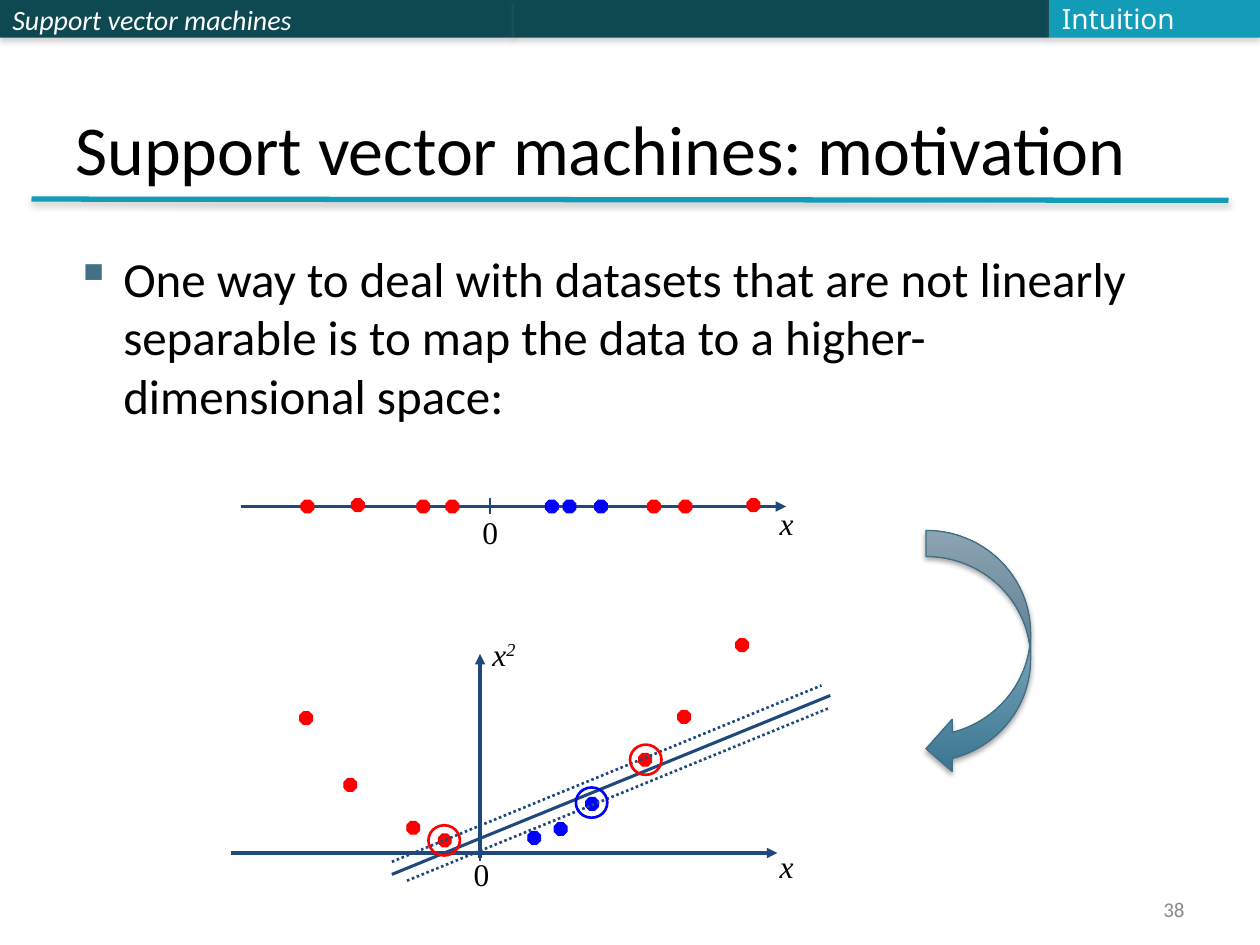
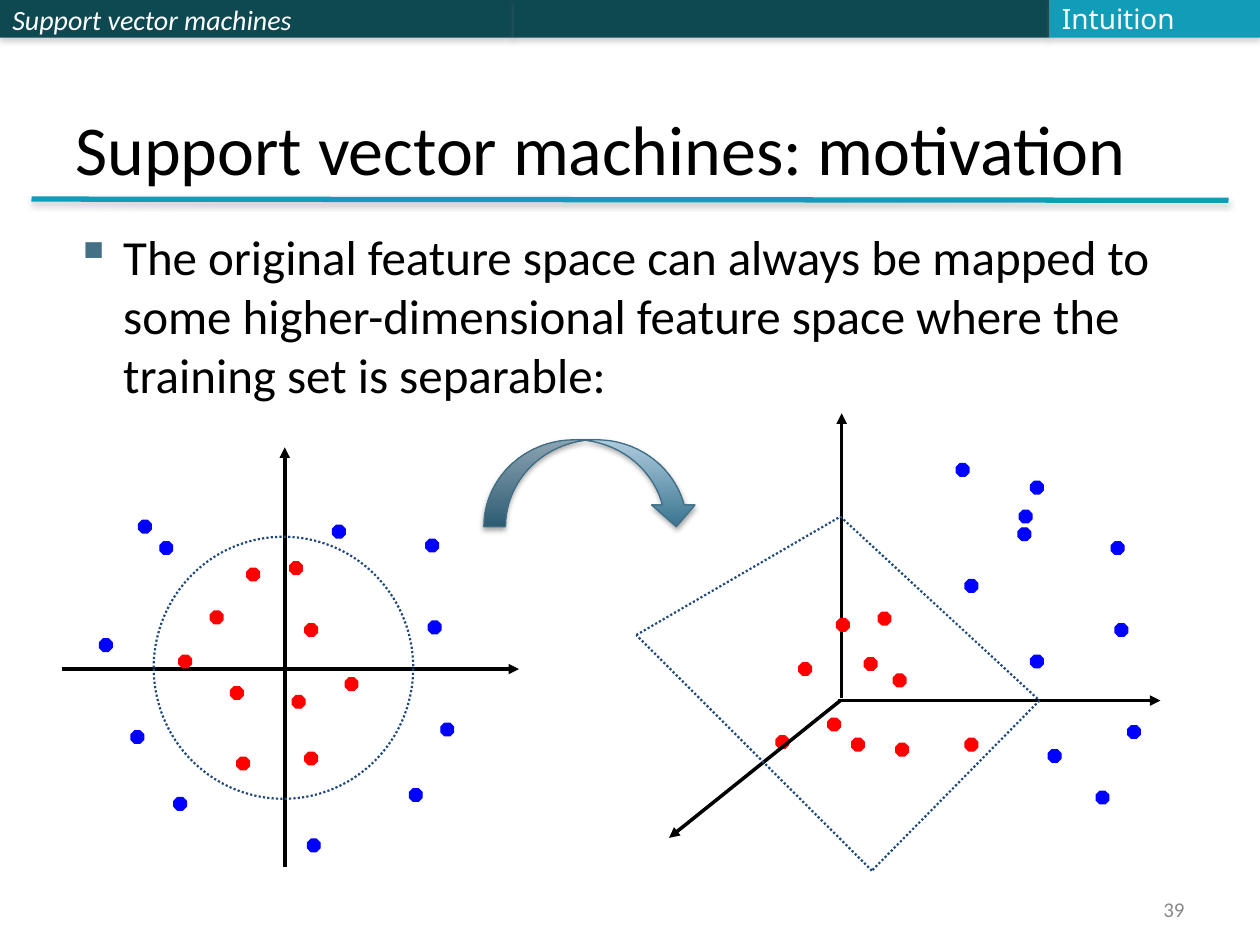
import lxml.etree
import pptx
import pptx.dml.color
import pptx.enum.dml
import pptx.enum.shapes
import pptx.enum.text
import pptx.oxml.ns
import pptx.util

Color = pptx.dml.color.RGBColor
Preset = pptx.enum.shapes.MSO_SHAPE
Anchor = pptx.enum.text.MSO_ANCHOR
Align = pptx.enum.text.PP_ALIGN

BLACK = Color(0x00, 0x00, 0x00)
WHITE = Color(0xFF, 0xFF, 0xFF)
RED = Color(0xFF, 0x00, 0x00)
BLUE = Color(0x00, 0x00, 0xFF)
NAVY = Color(0x1F, 0x49, 0x7D)
DARK_TEAL = Color(0x0E, 0x48, 0x51)
TEAL = Color(0x13, 0x9C, 0xB7)
NEAR_WHITE = Color(0xFB, 0xFC, 0xFF)
NUMBER_GRAY = Color(0x89, 0x89, 0x89)
BULLET_BLUE = Color(0x43, 0x70, 0x85)
ARROW_DARK = Color(0x39, 0x74, 0x8F)
ARROW_LIGHT = Color(0xAF, 0xCC, 0xDF)
ARROW_EDGE = Color(0x40, 0x6E, 0x84)
SHADOW_GRAY = Color(0x80, 0x80, 0x80)

BODY_FONT, SECTION_FONT, MATH_FONT = "Calibri", "Noto Sans", "Times New Roman"

# All places below are in grid units; the page is 10 by 7.5 units.
UNIT_CM = 2.54
DOT = 0.1
RING = (0.25, 0.24)

CHAPTER = "Support vector machines"
SECTION = "Intuition"
TITLE = "Support vector machines: motivation"
HEADER_BANDS = [(0, 4.08, DARK_TEAL), (4.08, 4.25, DARK_TEAL), (8.33, 1.67, TEAL)]

MAPPING = {
    "number": "38",
    "body": "One way to deal with datasets that are not linearly separable "
            "is to map the data to a higher-dimensional space:",
    "body_box": (0.5, 1.92, 8.58, 5.42),
    "curved_arrow": (Preset.CURVED_LEFT_ARROW, (7.35, 4.21, 0.83, 1.94)),
}
LINE_DOTS = {
    RED: [(2.39, 3.97), (2.79, 3.96), (3.31, 3.97), (3.54, 3.97),
          (5.14, 3.97), (5.39, 3.97), (5.93, 3.96)],
    BLUE: [(4.33, 3.97), (4.47, 3.97), (4.72, 3.97)],
}
PARABOLA_DOTS = {
    RED: [(2.38, 5.65), (2.73, 6.18), (3.23, 6.52), (3.48, 6.62),
          (5.07, 5.98), (5.38, 5.64), (5.84, 5.07)],
    BLUE: [(4.19, 6.6), (4.4, 6.53), (4.65, 6.33)],
}
MAPPING_AXES = [
    ((1.91, 4.02), (6.24, 4.02)),
    ((1.83, 6.77), (6.17, 6.77)),
    ((3.81, 6.81), (3.81, 5.19)),
]
TICKS = [((3.89, 3.95), (3.89, 4.08), 1.5), ((3.81, 6.71), (3.81, 6.83), 0.75)]
AXIS_LABELS = [  # text, superscript, left, top, width
    ("0", "", 3.73, 4.02, 0.38),
    ("x", "", 6.09, 3.95, 0.5),
    ("0", "", 3.66, 6.74, 0.38),
    ("x", "2", 3.81, 4.99, 0.5),
    ("x", "", 6.09, 6.67, 0.5),
]
SEPARATOR = ((3.11, 6.94), (6.59, 5.52))
MARGINS = [((3.11, 6.84), (6.52, 5.44)), ((3.23, 6.99), (6.58, 5.62))]
SUPPORT_RINGS = [(5, 5.91, RED), (4.57, 6.25, BLUE), (3.4, 6.55, RED)]

FEATURE_SPACE = {
    "number": "39",
    "body": "The original feature space can always be mapped to some "
            "higher-dimensional feature space where the training set is separable:",
    "body_box": (0.5, 1.75, 9, 5.42),
    "curved_arrow": (Preset.CURVED_DOWN_ARROW, (3.84, 3.49, 1.7, 0.69)),
}
PLANE_DOTS = {
    RED: [(2.3, 4.46), (1.67, 4.85), (1.83, 5.45), (2.42, 5.97), (1.96, 4.51),
          (1.42, 5.2), (1.88, 6.01), (2.42, 4.95), (2.74, 5.38), (2.32, 5.52)],
    BLUE: [(3.4, 4.93), (3.25, 6.26), (0.79, 5.07), (2.44, 6.66), (3.5, 5.74),
           (1.38, 6.33), (1.04, 5.8), (1.1, 4.13), (2.64, 4.17), (1.27, 4.3),
           (3.38, 4.28)],
}
SPACE_DOTS = {
    RED: [(6.97, 4.86), (6.34, 5.26), (6.76, 5.86), (7.66, 5.86), (6.64, 4.91),
          (6.86, 5.22), (7.11, 5.9), (7.09, 5.35), (6.57, 5.7), (6.16, 5.84)],
    BLUE: [(8.85, 4.95), (8.7, 6.28), (8.18, 3.82), (8.18, 5.2), (8.95, 5.76),
           (7.66, 4.6), (8.32, 5.95), (8.09, 4.05), (8.08, 4.19), (7.59, 3.68),
           (8.82, 4.3)],
}
PLANE_AXES = [((2.26, 6.88), (2.26, 3.55)), ((0.49, 5.31), (4.12, 5.31))]
SPACE_AXES = [((6.68, 5.54), (6.68, 3.28)), ((6.65, 5.56), (9.21, 5.56))]
DEPTH_AXIS = ((6.67, 5.56), (5.31, 6.65))
CIRCLE_BOUNDARY = (1.22, 4.26, 2.06, 2.08)
HYPERPLANE_CORNERS = [(6.67, 4.1), (8.25, 5.56), (6.92, 6.91), (5.05, 5.04)]


def grid(*values):
    """Turn grid units into lengths."""
    return [pptx.util.Cm(value * UNIT_CM) for value in values]


def add_xml(parent, tag, **attributes):
    child = lxml.etree.SubElement(parent, pptx.oxml.ns.qn(tag))
    for name, value in attributes.items():
        child.set(name, str(value))
    return child


def add_shadow(effects, color, opacity, blur=3.1, distance=1.8):
    shadow = add_xml(effects, "a:outerShdw", blurRad=pptx.util.Pt(blur),
                     dist=pptx.util.Pt(distance), dir=90 * 60000, rotWithShape=0)
    tint = add_xml(shadow, "a:srgbClr", val=color)
    add_xml(tint, "a:alpha", val=opacity * 1000)


def add_figure(page, preset, box, fill=None, edge=None, width=0.75, dotted=False):
    """Add a preset shape without shadow; fill and edge are colours or None."""
    figure = page.shapes.add_shape(preset, *grid(*box))
    figure.shadow.inherit = False
    if fill is None:
        figure.fill.background()
    else:
        figure.fill.solid()
        figure.fill.fore_color.rgb = fill
    if edge is None:
        figure.line.fill.background()
    else:
        style_line(figure.line, edge, width, dotted)
    return figure


def style_line(line, color, width, dotted=False):
    line.color.rgb = color
    line.width = pptx.util.Pt(width)
    if dotted:
        line.dash_style = pptx.enum.dml.MSO_LINE.ROUND_DOT


def add_segment(page, start, end, color, width, dotted=False, arrow=False):
    """Add a straight line and return its (empty) effect list."""
    segment = page.shapes.add_connector(
        pptx.enum.shapes.MSO_CONNECTOR.STRAIGHT, *grid(*start, *end))
    style_line(segment.line, color, width, dotted)
    properties = segment._element.spPr
    if arrow:
        add_xml(properties.find(pptx.oxml.ns.qn("a:ln")), "a:tailEnd", type="triangle")
    return add_xml(properties, "a:effectLst")


def write(frame, text, size, font, color, italic=False, anchor=Anchor.TOP,
          align=Align.LEFT, wrap=True):
    frame.word_wrap = wrap
    frame.vertical_anchor = anchor
    frame.text = text
    para = frame.paragraphs[0]
    para.alignment = align
    style_run(para.runs[0], size, font, color, italic)
    return para


def style_run(span, size, font, color, italic):
    span.font.size = pptx.util.Pt(size)
    span.font.name = font
    span.font.color.rgb = color
    span.font.italic = italic


def add_text(page, box, *style, **options):
    frame = page.shapes.add_textbox(*grid(*box)).text_frame
    return write(frame, *style, **options)


def add_bullet(para):
    indent = grid(0.38)[0]
    properties = para._p.get_or_add_pPr()
    properties.set("marL", str(indent))
    properties.set("indent", str(-indent))
    add_xml(add_xml(properties, "a:buClr"), "a:srgbClr", val=BULLET_BLUE)
    add_xml(properties, "a:buChar", char="▪")


def add_page(deck, content):
    """Add a page with header bands, title, bullet text and number."""
    page = deck.slides.add_slide(deck.slide_layouts[6])
    bands = []
    for left, width, color in HEADER_BANDS:
        band = add_figure(page, Preset.RECTANGLE, (left, 0, width, 0.3), color)
        add_shadow(band._element.spPr.find(pptx.oxml.ns.qn("a:effectLst")),
                   SHADOW_GRAY, 35)
        bands.append(band)
    write(bands[0].text_frame, CHAPTER, 16, BODY_FONT, WHITE, italic=True,
          anchor=Anchor.MIDDLE)
    add_shadow(add_segment(page, (0.25, 1.58), (9.75, 1.59), TEAL, 3),
               SHADOW_GRAY, 38, distance=1.6)
    add_text(page, (0.5, 0.3, 9, 1.25), TITLE, 40, BODY_FONT, BLACK,
             anchor=Anchor.BOTTOM)
    add_text(page, (7.17, 7.08, 2.33, 0.27), content["number"], 12, BODY_FONT,
             NUMBER_GRAY, anchor=Anchor.MIDDLE, align=Align.RIGHT)
    add_bullet(add_text(page, content["body_box"], content["body"], 28,
                        BODY_FONT, BLACK))
    add_text(page, (8.33, -0.04, 1.12, 0.37), SECTION, 16, SECTION_FONT,
             NEAR_WHITE, anchor=Anchor.MIDDLE, wrap=False)
    add_curved_arrow(page, *content["curved_arrow"])
    return page


def add_curved_arrow(page, preset, box):
    arrow = add_figure(page, preset, box, edge=ARROW_EDGE)
    arrow.fill.gradient()
    arrow.fill.gradient_angle = 90
    for stop, color in zip(arrow.fill.gradient_stops, (ARROW_DARK, ARROW_LIGHT)):
        stop.color.rgb = color
    add_shadow(arrow._element.spPr.find(pptx.oxml.ns.qn("a:effectLst")), BLACK, 35)


def add_axes(page, axes, color):
    for start, end in axes:
        add_segment(page, start, end, color, 2, arrow=True)


def add_dots(page, *groups):
    for group in groups:
        for color, places in group.items():
            for left, top in places:
                add_figure(page, Preset.OCTAGON, (left, top, DOT, DOT), color, color)


def draw_mapping(deck):
    page = add_page(deck, MAPPING)
    add_axes(page, MAPPING_AXES, NAVY)
    for start, end, width in TICKS:
        add_segment(page, start, end, NAVY, width)
    add_dots(page, LINE_DOTS, PARABOLA_DOTS)
    for text, power, left, top, width in AXIS_LABELS:
        italic = text == "x"
        para = add_text(page, (left, top, width, 0.4), text, 18, MATH_FONT,
                        BLACK, italic=italic)
        if power:
            span = para.add_run()
            span.text = power
            style_run(span, 18, MATH_FONT, BLACK, italic)
            span.font._element.set("baseline", "30000")
    add_segment(page, *SEPARATOR, NAVY, 1.75)
    for start, end in MARGINS:
        add_segment(page, start, end, NAVY, 1.5, dotted=True)
    for left, top, color in SUPPORT_RINGS:
        add_figure(page, Preset.OVAL, (left, top, *RING), edge=color, width=1.5)


def draw_feature_space(deck):
    page = add_page(deck, FEATURE_SPACE)
    add_axes(page, PLANE_AXES + SPACE_AXES, BLACK)
    add_dots(page, PLANE_DOTS, SPACE_DOTS)
    add_figure(page, Preset.OVAL, CIRCLE_BOUNDARY, edge=NAVY, width=1.25, dotted=True)
    add_axes(page, [DEPTH_AXIS], BLACK)
    next_corners = HYPERPLANE_CORNERS[1:] + HYPERPLANE_CORNERS[:1]
    for start, end in zip(HYPERPLANE_CORNERS, next_corners):
        add_segment(page, start, end, NAVY, 1.25, dotted=True)


def main():
    deck = pptx.Presentation()
    deck.slide_width, deck.slide_height = grid(10, 7.5)
    draw_mapping(deck)
    draw_feature_space(deck)
    deck.save("out.pptx")


if __name__ == "__main__":
    main()
